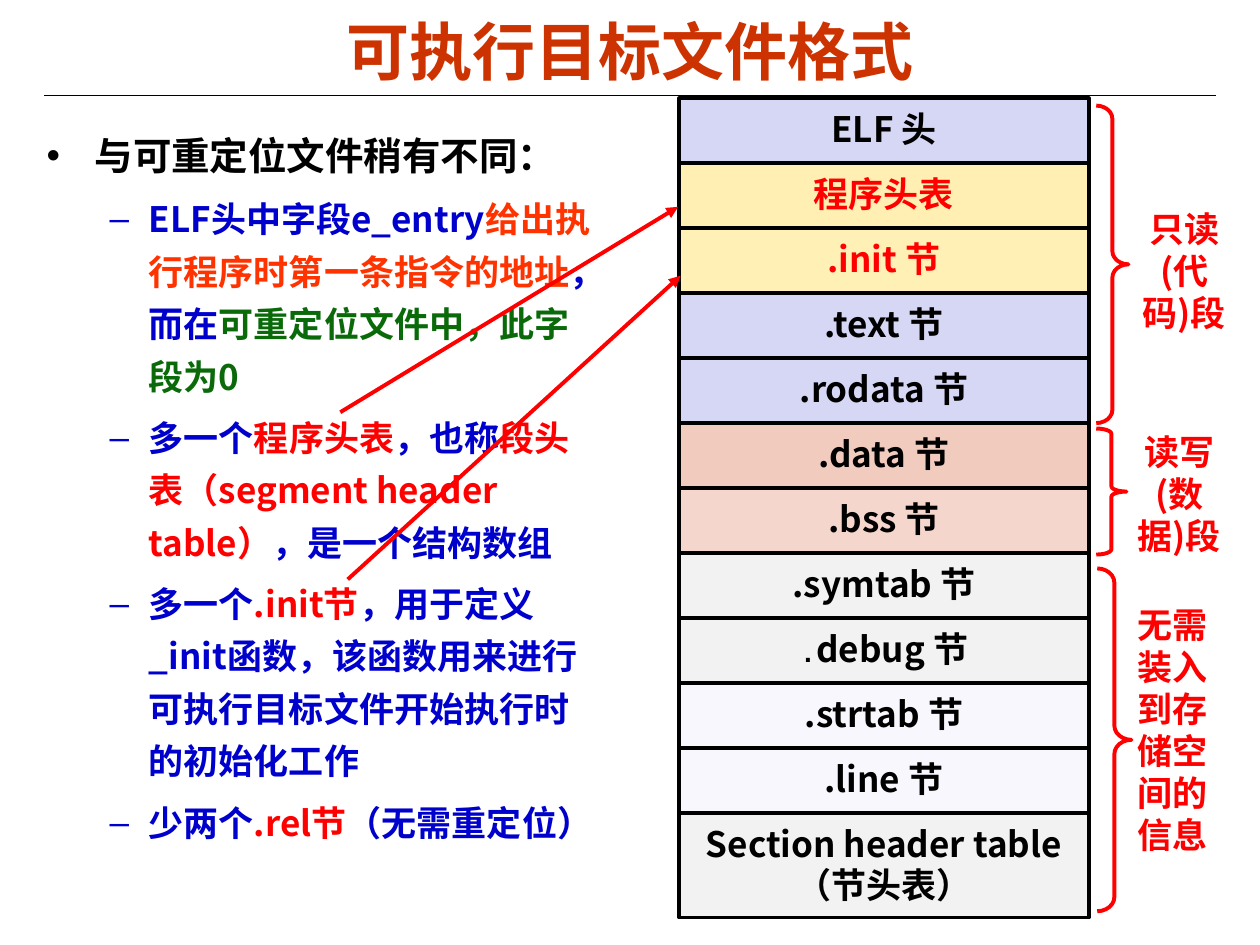
import pptx
import pptx.dml.color
import pptx.enum.shapes
import pptx.enum.text
import pptx.oxml
import pptx.oxml.ns
import pptx.util
from pptx.util import Cm, Pt

CJK = "Noto Sans CJK SC"
COLORS = {
    "title": "CC3300", "black": "000000", "red": "FF0000", "blue": "0000CC",
    "orange": "FF3300", "green": "0A6A0A", "lilac": "D6D6F5",
    "yellow": "FFCC00", "rust": "CC3300", "gray": "F2F2F2",
}

# Lines of styled runs, fill colour, opacity in percent
SECTIONS = [
    ([[("ELF 头", "black")]], "lilac", 100),
    ([[("程序头表", "red")]], "yellow", 30),
    ([[(".init 节", "red")]], "yellow", 29),
    ([[(".text 节", "black")]], "lilac", 100),
    ([[(".rodata 节", "black")]], "lilac", 100),
    ([[(".data 节", "black")]], "rust", 25),
    ([[(".bss 节", "black")]], "rust", 20),
    ([[(".symtab 节", "black")]], "gray", 100),
    ([[(".", "black", 16, "Courier New"), ("debug 节", "black")]], "gray", 100),
    ([[(".strtab 节", "black")]], "lilac", 19),
    ([[(".line 节", "black")]], "lilac", 19),
    ([[("Section header table", "black")], [("（节头表）", "black")]], "gray", 100),
]
COLUMN_LEFT, COLUMN_TOP, COLUMN_WIDTH = 13.69, 1.98, 8.26
ROW_HEIGHT, LAST_ROW_HEIGHT = 1.31, 2.11

# Brace box, label text, label box, centred
SEGMENTS = [
    ((22.1, 2.13, 0.65, 6.4), "只读(代码)段", (22.68, 4.06, 2.39, 3.66), True),
    ((22.1, 8.64, 0.61, 2.54), "读写(数据)段", (22.58, 8.56, 2.39, 3.66), True),
    ((22.12, 11.46, 0.69, 6.91), "无需装入到存储空间的信息",
     (22.68, 12.04, 1.93, 5.33), False),
]

HEADING = [("与可重定位文件稍有不同：", "black", 22)]
POINTS = [
    [("ELF头中字段e_entry", "blue"), ("给出执行程序时第一条指令的地址", "orange"),
     ("，而在", "blue"), ("可重定位文件中，此字段为0", "green")],
    [("多一个", "blue"), ("程序头表", "red"), ("，也称", "blue"),
     ("段头表（segment header table）", "red"), ("，是一个结构数组", "blue")],
    [("多一个", "blue"), (".init节", "red"),
     ("，用于定义_init函数，该函数用来进行可执行目标文件开始执行时的初始化工作", "blue")],
    [("少两个", "blue"), (".rel节", "red"), ("（无需重定位）", "blue")],
]

ARROWS = [((6.86, 8.31), (13.67, 4.17)), ((7.01, 11.68), (13.72, 5.56))]


def rgb(name):
    return pptx.dml.color.RGBColor.from_string(COLORS[name])


def add_child(parent, tag, **attributes):
    child = pptx.oxml.parse_xml(f"<a:{tag} {pptx.oxml.ns.nsdecls('a')}/>")
    for key, value in attributes.items():
        child.set(key, str(value))
    parent.append(child)
    return child


def add_run(paragraph, text, color, size=20, face=CJK):
    run = paragraph.add_run()
    run.text = text
    run.font.size = Pt(size)
    run.font.bold = True
    run.font.name = face
    run.font.color.rgb = rgb(color)
    add_child(run.font._element, "ea", typeface=CJK)


def add_paragraphs(text_frame, lines, alignment, line_spacing=None):
    """Fill a text frame with lines of styled runs and return its paragraphs."""
    for index, runs in enumerate(lines):
        paragraph = text_frame.paragraphs[0] if index == 0 else text_frame.add_paragraph()
        paragraph.alignment = alignment
        if line_spacing:
            paragraph.line_spacing = line_spacing
        for run in runs:
            add_run(paragraph, *run)
    return text_frame.paragraphs


def add_text(slide, box, lines, alignment, line_spacing=None):
    text_frame = slide.shapes.add_textbox(*map(Cm, box)).text_frame
    text_frame.word_wrap = True
    add_paragraphs(text_frame, lines, alignment, line_spacing)
    return text_frame


def add_title(slide):
    text_frame = add_text(slide, (1.27, 0.23, 22.86, 1.55),
                          [[("可执行目标文件格式", "title", 36, "Arial")]],
                          pptx.enum.text.PP_ALIGN.CENTER)
    text_frame.vertical_anchor = pptx.enum.text.MSO_ANCHOR.MIDDLE


def add_section(slide, top, height, lines, fill, opacity):
    shape = slide.shapes.add_shape(
        pptx.enum.shapes.MSO_SHAPE.RECTANGLE,
        Cm(COLUMN_LEFT), Cm(top), Cm(COLUMN_WIDTH), Cm(height))
    shape.shadow.inherit = False
    shape.fill.solid()
    shape.fill.fore_color.rgb = rgb(fill)
    if opacity < 100:
        color = shape._element.spPr.find(".//" + pptx.oxml.ns.qn("a:srgbClr"))
        add_child(color, "alpha", val=opacity * 1000)
    shape.line.color.rgb = rgb("black")
    shape.line.width = Pt(2)
    shape.text_frame.word_wrap = False
    shape.text_frame.vertical_anchor = pptx.enum.text.MSO_ANCHOR.MIDDLE
    add_paragraphs(shape.text_frame, lines, pptx.enum.text.PP_ALIGN.CENTER,
                   0.94 if len(lines) == 1 else 0.98)


def add_brace(slide, box):
    shape = slide.shapes.add_shape(
        pptx.enum.shapes.MSO_SHAPE.RIGHT_BRACE, *map(Cm, box))
    shape.shadow.inherit = False
    shape.fill.background()
    shape.line.color.rgb = rgb("red")
    shape.line.width = Pt(2.25)
    width, height = box[2:]
    shape.adjustments[0] = height / width / 24


def add_line(slide, start, end, color, width, arrow=False):
    connector = slide.shapes.add_connector(
        pptx.enum.shapes.MSO_CONNECTOR.STRAIGHT, *map(Cm, start + end))
    connector.line.color.rgb = rgb(color)
    connector.line.width = Pt(width)
    if arrow:
        add_child(connector.line._get_or_add_ln(), "tailEnd", type="triangle")
    add_child(connector._element.spPr, "effectLst")


def add_bullet(paragraph, symbol, color, left, hanging):
    properties = paragraph._p.get_or_add_pPr()
    properties.set("marL", str(Cm(left)))
    properties.set("indent", str(-Cm(hanging)))
    bullet_color = add_child(properties, "buClr")
    add_child(bullet_color, "srgbClr", val=COLORS[color])
    add_child(properties, "buFont", typeface="Arial")
    add_child(properties, "buChar", char=symbol)


def add_differences(slide):
    text_frame = add_text(slide, (0.69, 2.31, 11.73, 15.9), [HEADING] + POINTS,
                          pptx.enum.text.PP_ALIGN.LEFT, 1.25)
    heading, *points = text_frame.paragraphs
    add_bullet(heading, "•", "black", 0.97, 0.97)
    for paragraph in points:
        paragraph.level = 1
        paragraph.space_before = Pt(5)
        add_bullet(paragraph, "–", "blue", 2.06, 0.79)


def main():
    presentation = pptx.Presentation()
    presentation.slide_width, presentation.slide_height = Cm(25.4), Cm(19.05)
    slide = presentation.slides.add_slide(presentation.slide_layouts[6])

    add_line(slide, (0.89, 1.93), (24.51, 1.93), "black", 0.75)
    add_title(slide)
    for index, section in enumerate(SECTIONS):
        height = LAST_ROW_HEIGHT if index == len(SECTIONS) - 1 else ROW_HEIGHT
        add_section(slide, COLUMN_TOP + index * ROW_HEIGHT, height, *section)
    for brace, label, box, centred in SEGMENTS:
        add_brace(slide, brace)
        alignment = pptx.enum.text.PP_ALIGN.CENTER if centred else pptx.enum.text.PP_ALIGN.LEFT
        add_text(slide, box, [[(label, "red")]], alignment)
    add_differences(slide)
    for start, end in ARROWS:
        add_line(slide, start, end, "red", 2.25, arrow=True)

    presentation.save("out.pptx")


if __name__ == "__main__":
    main()
